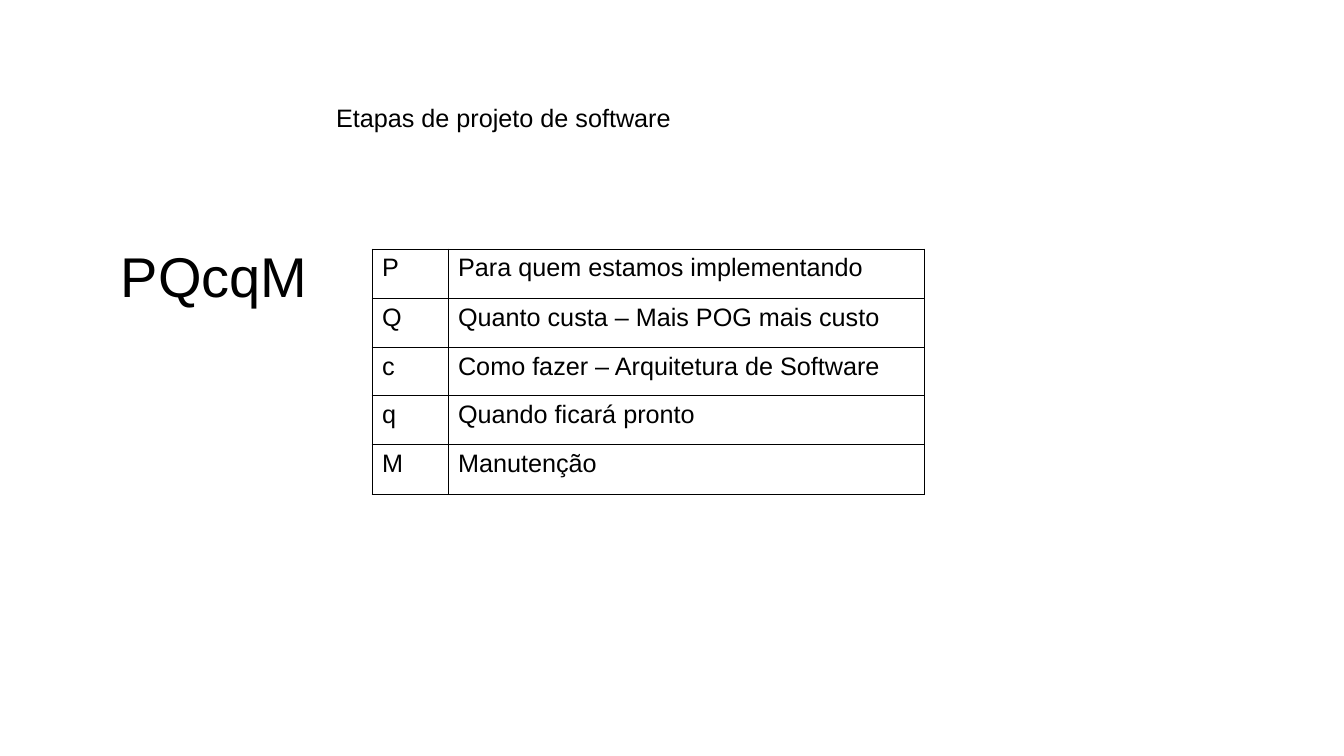
from dataclasses import dataclass

from lxml.etree import SubElement
from pptx import Presentation
from pptx.dml.color import RGBColor
from pptx.enum.text import MSO_ANCHOR, PP_ALIGN
from pptx.oxml.ns import qn
from pptx.slide import Slide
from pptx.table import _Cell
from pptx.text.text import _Paragraph
from pptx.util import Emu, Pt

EMU_PER_INCH = 914400
PX_PER_INCH = 100.8
COLORS = {"text": "000000", "border": "000000", "background": "FFFFFF"}
FONT_FORMAT = {"name": "Arial", "bold": False}
TABLE_FORMAT = {"first_row": False, "horz_banding": False}
BORDER_SIDES = ("a:lnL", "a:lnR", "a:lnT", "a:lnB")
BORDER_WIDTH = Pt(0.75)
BODY_SIZE = 18


@dataclass(frozen=True)
class Label:
    text: str
    left: int
    top: int
    width: int
    height: int
    size: int
    margins: tuple[int, int]
    anchor: MSO_ANCHOR
    alignment: PP_ALIGN


@dataclass(frozen=True)
class Stage:
    letter: str
    meaning: str
    height: int


LABELS = (
    Label("Etapas de projeto de software", 27, 79, 953, 77, BODY_SIZE,
          (0, 0), MSO_ANCHOR.MIDDLE, PP_ALIGN.CENTER),
    Label("PQcqM", 111, 236, 207, 73, 40,
          (10, 5), MSO_ANCHOR.TOP, PP_ALIGN.LEFT),
)
STAGES = (
    Stage("P", "Para quem estamos implementando", 50),
    Stage("Q", "Quanto custa – Mais POG mais custo", 49),
    Stage("c", "Como fazer – Arquitetura de Software", 48),
    Stage("q", "Quando ficará pronto", 49),
    Stage("M", "Manutenção", 50),
)
TABLE_LEFT, TABLE_TOP = 372, 249
COLUMN_WIDTHS = (76, 476)


def px(length: int) -> Emu:
    return Emu(round(length * EMU_PER_INCH / PX_PER_INCH))


def apply_format(target: object, values: dict) -> None:
    for name, value in values.items():
        setattr(target, name, value)


def write_text(paragraph: _Paragraph, text: str, size: int) -> None:
    run = paragraph.add_run()
    run.text = text
    apply_format(run.font, {**FONT_FORMAT, "size": Pt(size)})
    run.font.color.rgb = RGBColor.from_string(COLORS["text"])


def draw_label(slide: Slide, label: Label) -> None:
    shape = slide.shapes.add_textbox(
        px(label.left), px(label.top), px(label.width), px(label.height))
    horizontal, vertical = map(px, label.margins)
    apply_format(shape.text_frame, {
        "word_wrap": False,
        "vertical_anchor": label.anchor,
        "margin_left": horizontal,
        "margin_right": horizontal,
        "margin_top": vertical,
        "margin_bottom": vertical,
    })
    paragraph = shape.text_frame.paragraphs[0]
    paragraph.alignment = label.alignment
    write_text(paragraph, label.text, label.size)


def draw_borders(cell: _Cell) -> None:
    properties = cell._tc.get_or_add_tcPr()
    for side in BORDER_SIDES:
        line = SubElement(properties, qn(side), w=str(BORDER_WIDTH))
        fill = SubElement(line, qn("a:solidFill"))
        SubElement(fill, qn("a:srgbClr"), val=COLORS["border"])


def draw_stages(slide: Slide, stages: tuple[Stage, ...]) -> None:
    height = sum(stage.height for stage in stages)
    table = slide.shapes.add_table(
        len(stages), len(COLUMN_WIDTHS), px(TABLE_LEFT), px(TABLE_TOP),
        px(sum(COLUMN_WIDTHS)), px(height)).table
    apply_format(table, TABLE_FORMAT)
    for column, width in zip(table.columns, COLUMN_WIDTHS):
        column.width = px(width)
    for row, stage in zip(table.rows, stages):
        row.height = px(stage.height)
        for cell, text in zip(row.cells, (stage.letter, stage.meaning)):
            draw_borders(cell)
            cell.fill.background()
            write_text(cell.text_frame.paragraphs[0], text, BODY_SIZE)


def main() -> None:
    presentation = Presentation()
    apply_format(presentation, {"slide_width": px(1344), "slide_height": px(756)})
    slide = presentation.slides.add_slide(presentation.slide_layouts[6])
    background = slide.background.fill
    background.solid()
    background.fore_color.rgb = RGBColor.from_string(COLORS["background"])
    for label in LABELS:
        draw_label(slide, label)
    draw_stages(slide, STAGES)
    presentation.save("out.pptx")


if __name__ == "__main__":
    main()
